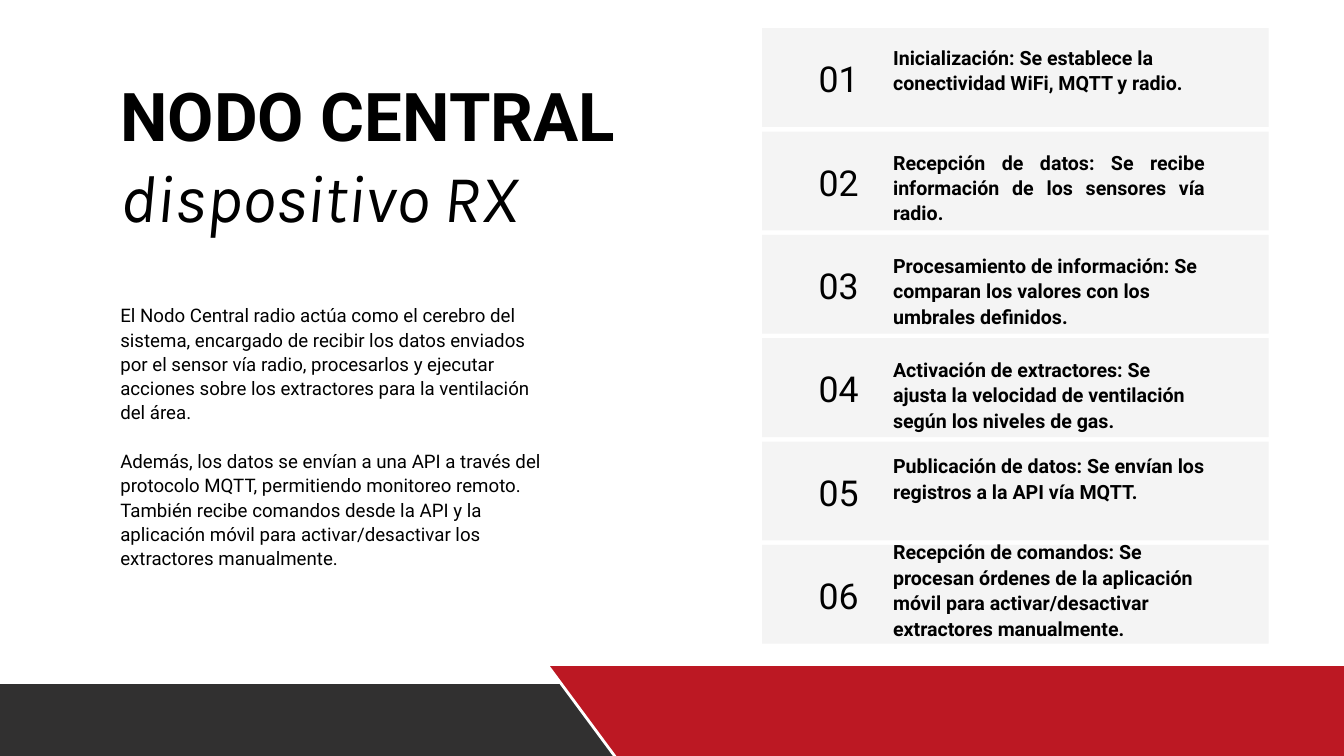
"""Build the slide on the central radio node and its six steps."""
from dataclasses import dataclass
from pptx import Presentation
from pptx.dml.color import RGBColor
from pptx.enum.shapes import MSO_SHAPE
from pptx.enum.text import PP_ALIGN
from pptx.util import Inches, Pt


@dataclass(frozen=True)
class Theme:
    ink: RGBColor = RGBColor.from_string("000000")
    dark: RGBColor = RGBColor.from_string("313030")
    red: RGBColor = RGBColor.from_string("BC1823")
    card: RGBColor = RGBColor.from_string("F4F4F4")
    white: RGBColor = RGBColor.from_string("FFFFFF")
    sans: str = "Roboto"
    slant: str = "Karla"
    title: float = 72
    body: float = 20
    step: float = 21
    num: float = 38.2


theme = Theme()
deck = Presentation()
deck.slide_width, deck.slide_height = Inches(20), Inches(11.25)
col, row = deck.slide_width / 100, deck.slide_height / 100
slide = deck.slides.add_slide(deck.slide_layouts[6])
shapes = slide.shapes


def add_text(x, y, w, h, lines, size, lead, bold=False, align=PP_ALIGN.LEFT):
    box = shapes.add_textbox(int(x * col), int(y * row), int(w * col), int(h * row))
    frame = box.text_frame
    frame.word_wrap = True
    frame.margin_left = frame.margin_right = frame.margin_top = frame.margin_bottom = 0
    frame.text = "\n".join(lines)
    for para in frame.paragraphs:
        para.alignment = align
        para.line_spacing = Pt(lead)
        for run in para.runs:
            run.font.name, run.font.size, run.font.bold = theme.sans, Pt(size), bold
            run.font.color.rgb = theme.ink
    return frame.paragraphs


def add_band(points, fill):
    spots = [(int(x * col), int(y * row)) for x, y in points]
    pen = shapes.build_freeform(*spots[0])
    pen.add_line_segments(spots[1:], close=True)
    band = pen.convert_to_shape()
    band.shadow.inherit = False
    band.fill.solid()
    band.fill.fore_color.rgb = fill
    band.line.fill.background()
    return band


add_band([(-4.25, 90.49), (51.75, 90.49), (51.75, 108.36), (-4.25, 108.36)], theme.dark)
band = add_band([(105.55, 87.91), (40.7, 87.91), (48.1, 105.69), (112.95, 105.69)], theme.red)
band.line.color.rgb = theme.white
band.line.width = Pt(3)

title = add_text(8.95, 9.87, 42.75, 21.42, ["NODO CENTRAL", "dispositivo RX"],
                 theme.title, 86.4, True)
font = title[1].runs[0].font
font.name, font.bold, font.italic = theme.slant, False, True

body = add_text(8.95, 40, 31.75, 34.58, [
    "El Nodo Central radio actúa como el cerebro del sistema, encargado de recibir los datos "
    "enviados por el sensor vía radio, procesarlos y ejecutar acciones sobre los extractores "
    "para la ventilación del área.",
    "Además, los datos se envían a una API a través del protocolo MQTT, permitiendo "
    "monitoreo remoto.",
    "También recibe comandos desde la API y la aplicación móvil para activar/desactivar "
    "los extractores manualmente.",
], theme.body, 26)
body[1].space_before = Pt(26)

left, just = PP_ALIGN.LEFT, PP_ALIGN.JUSTIFY
steps = [
    ("Inicialización: Se establece la conectividad WiFi, MQTT y radio.", 2.04, 3, left),
    ("Recepción de datos: Se recibe información de los sensores vía radio.", 2.24, 4, just),
    ("Procesamiento de información: Se comparan los valores con los umbrales definidos.",
     2.24, 4, left),
    ("Activación de extractores: Se ajusta la velocidad de ventilación según los niveles de gas.",
     2.32, 4, left),
    ("Publicación de datos: Se envían los registros a la API vía MQTT.", 1.42, 3, left),
    ("Recepción de comandos: Se procesan órdenes de la aplicación móvil para "
     "activar/desactivar extractores manualmente.", -0.89, 5, left),
]
for i, (text, drop, tall, align) in enumerate(steps):
    top = 3.73 + i * 13.67
    card = shapes.add_shape(MSO_SHAPE.RECTANGLE, int(56.7 * col), int(top * row),
                            int(37.7 * col), int(13.07 * row))
    card.shadow.inherit = False
    card.fill.solid()
    card.fill.fore_color.rgb = theme.card
    card.line.fill.background()
    add_text(66.45, top + drop, 23.2, tall * 3.34, [text], theme.step, 27.3, True, align)
    add_text(59.6, top + 3.38, 5.6, 5.87, [f"{i + 1:02}"], theme.num, 49.6,
             align=PP_ALIGN.CENTER)

deck.save("out.pptx")
